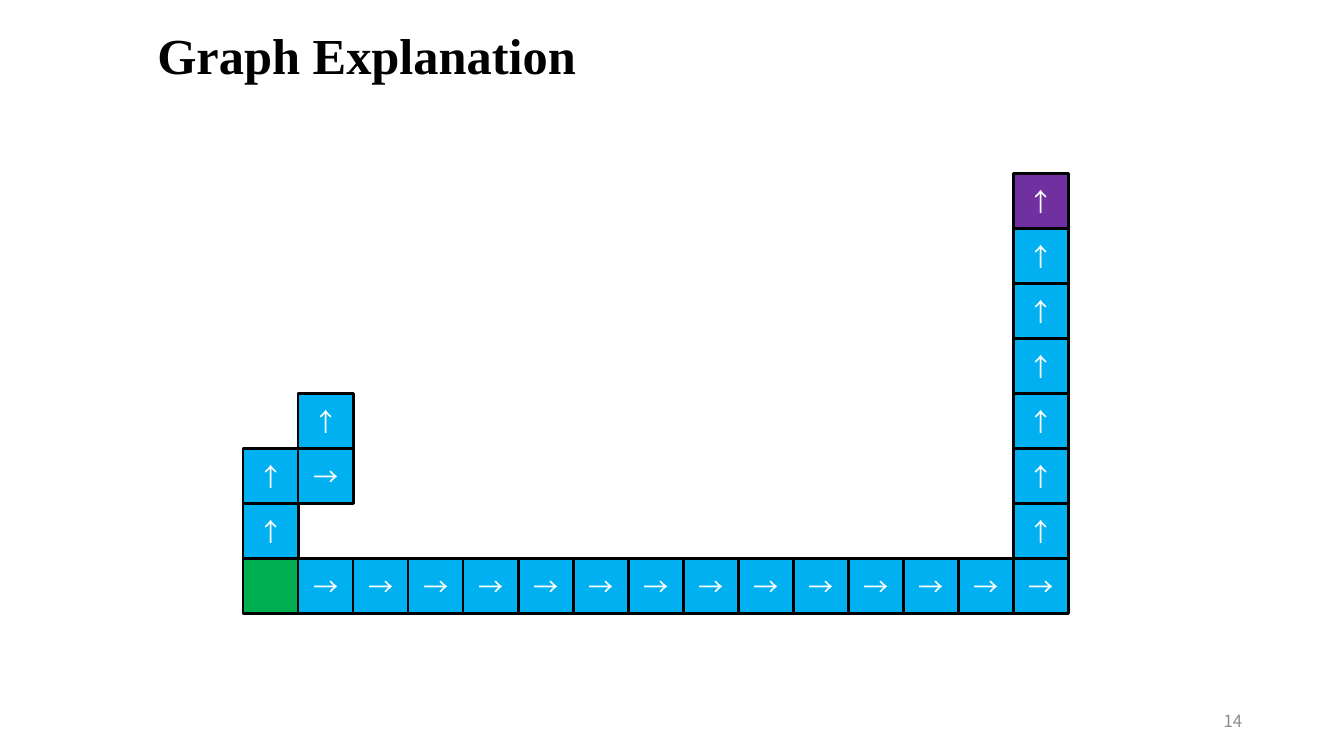
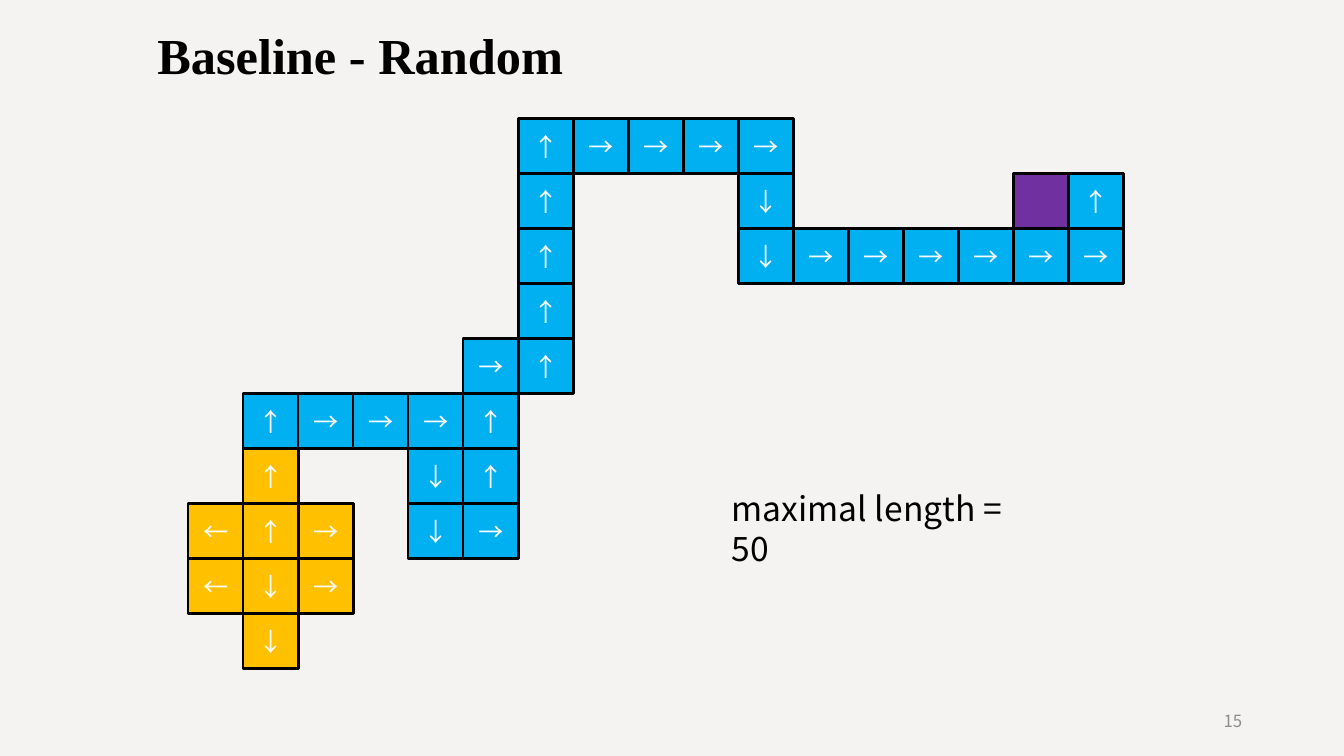
from dataclasses import dataclass

from lxml import etree
from pptx import Presentation
from pptx.dml.color import RGBColor
from pptx.enum import shapes, text
from pptx.oxml.ns import qn
from pptx.util import Inches, Pt


@dataclass(frozen=True)
class Theme:
    sans: str = "Noto Sans CJK SC"
    serif: str = "Times New Roman"
    black: str = "000000"
    white: str = "FFFFFF"
    paper: str = "F5F3F1"
    grey: str = "8C8C8C"
    green: str = "00B050"
    blue: str = "00B0F0"
    purple: str = "7030A0"
    orange: str = "FFC000"
    title_size: int = 36
    note_size: int = 24
    arrow_size: int = 18
    number_size: int = 12
    line_width: int = 2


theme = Theme()

# Grid: cell (0, 0) is the start, rows count upwards
START_X, START_Y = 2.41, 5.54
CELL = 0.55
PITCH = 7.64 / 14
STEPS = {"↑": (0, 1), "↓": (0, -1), "→": (1, 0), "←": (-1, 0)}


def style(para, size, color, name=theme.sans, bold=False, align=text.PP_ALIGN.LEFT):
    para.alignment = align
    font = para.font
    font.size, font.bold, font.name = Pt(size), bold, name
    font.color.rgb = RGBColor.from_string(color)
    defaults = para._p.find(".//" + qn("a:defRPr"))
    etree.SubElement(defaults, qn("a:ea")).set("typeface", name)


def add_cell(page, column, row, fill, arrow=""):
    cell = page.shapes.add_shape(
        shapes.MSO_SHAPE.RECTANGLE,
        Inches(START_X + column * PITCH), Inches(START_Y - row * PITCH),
        Inches(CELL), Inches(CELL))
    cell.shadow.inherit = False
    cell.fill.solid()
    cell.fill.fore_color.rgb = RGBColor.from_string(fill)
    cell.line.color.rgb = RGBColor.from_string(theme.black)
    cell.line.width = Pt(theme.line_width)
    if arrow:
        frame = cell.text_frame
        frame.vertical_anchor = text.MSO_ANCHOR.MIDDLE
        frame.text = arrow
        style(frame.paragraphs[0], theme.arrow_size, theme.white,
              align=text.PP_ALIGN.CENTER)


# Each walk: cell it leaves from, moves, fill of the cells it enters
pages = [
    {
        "title": "Graph Explanation",
        "background": theme.white,
        "plain": (0, 0, theme.green),
        "walks": [
            ((0, 0), "→" * 14 + "↑" * 6, theme.blue),
            ((14, 6), "↑", theme.purple),
            ((0, 0), "↑↑→↑", theme.blue),
        ],
    },
    {
        "title": "Baseline - Random",
        "background": theme.paper,
        "plain": (14, 7, theme.purple),
        "walks": [
            ((0, 2), "↑→→→↓↓→↑↑", theme.blue),
            ((3, 4), "→", theme.blue),
            ((5, 3), "↑" * 5 + "→" * 4 + "↓↓" + "→" * 6 + "↑", theme.blue),
            ((0, 1), "→", theme.orange),
            ((0, 1), "←", theme.orange),
            ((0, 0), "→", theme.orange),
            ((0, 0), "←", theme.orange),
            ((0, 0), "↑↑", theme.orange),
            ((0, 1), "↓↓", theme.orange),
        ],
        "note": "maximal length = 50",
    },
]

deck = Presentation()
deck.slide_width, deck.slide_height = Inches(13.33), Inches(7.5)
deck.element.set("firstSlideNum", "14")

# Shared title position
layout = deck.slide_layouts.get_by_name("Title Only")
title = layout.placeholders[0]
title.left, title.top = Inches(1.34), Inches(0.19)
title.width, title.height = Inches(6.67), Inches(0.71)
title.text_frame.vertical_anchor = text.MSO_ANCHOR.TOP
title.text_frame.margin_left = Inches(0.22)

for number, content in enumerate(pages, start=14):
    page = deck.slides.add_slide(layout)
    page.background.fill.solid()
    page.background.fill.fore_color.rgb = RGBColor.from_string(content["background"])

    # Title
    page.shapes.title.text = content["title"]
    style(page.shapes.title.text_frame.paragraphs[0], theme.title_size,
          theme.black, theme.serif, bold=True)

    # Slide number
    box = page.shapes.add_textbox(Inches(9.42), Inches(6.95), Inches(3), Inches(0.4))
    box.text_frame.word_wrap = True
    box.text_frame.vertical_anchor = text.MSO_ANCHOR.MIDDLE
    para = box.text_frame.paragraphs[0]
    field = etree.SubElement(para._p, qn("a:fld"), type="slidenum",
                             id="{B6F15528-21DE-4FAA-801E-634DDDAF4B2B}")
    etree.SubElement(field, qn("a:t")).text = str(number)
    style(para, theme.number_size, theme.grey, align=text.PP_ALIGN.RIGHT)

    # Grid cells
    add_cell(page, *content["plain"])
    for (column, row), moves, fill in content["walks"]:
        for arrow in moves:
            across, up = STEPS[arrow]
            column, row = column + across, row + up
            add_cell(page, column, row, fill, arrow)

    # Note beside the grid
    if "note" in content:
        box = page.shapes.add_textbox(Inches(7.16), Inches(4.79), Inches(3.18), Inches(0.5))
        box.text_frame.word_wrap = True
        box.text_frame.text = content["note"]
        para = box.text_frame.paragraphs[0]
        style(para, theme.note_size, theme.black)

deck.save("out.pptx")
